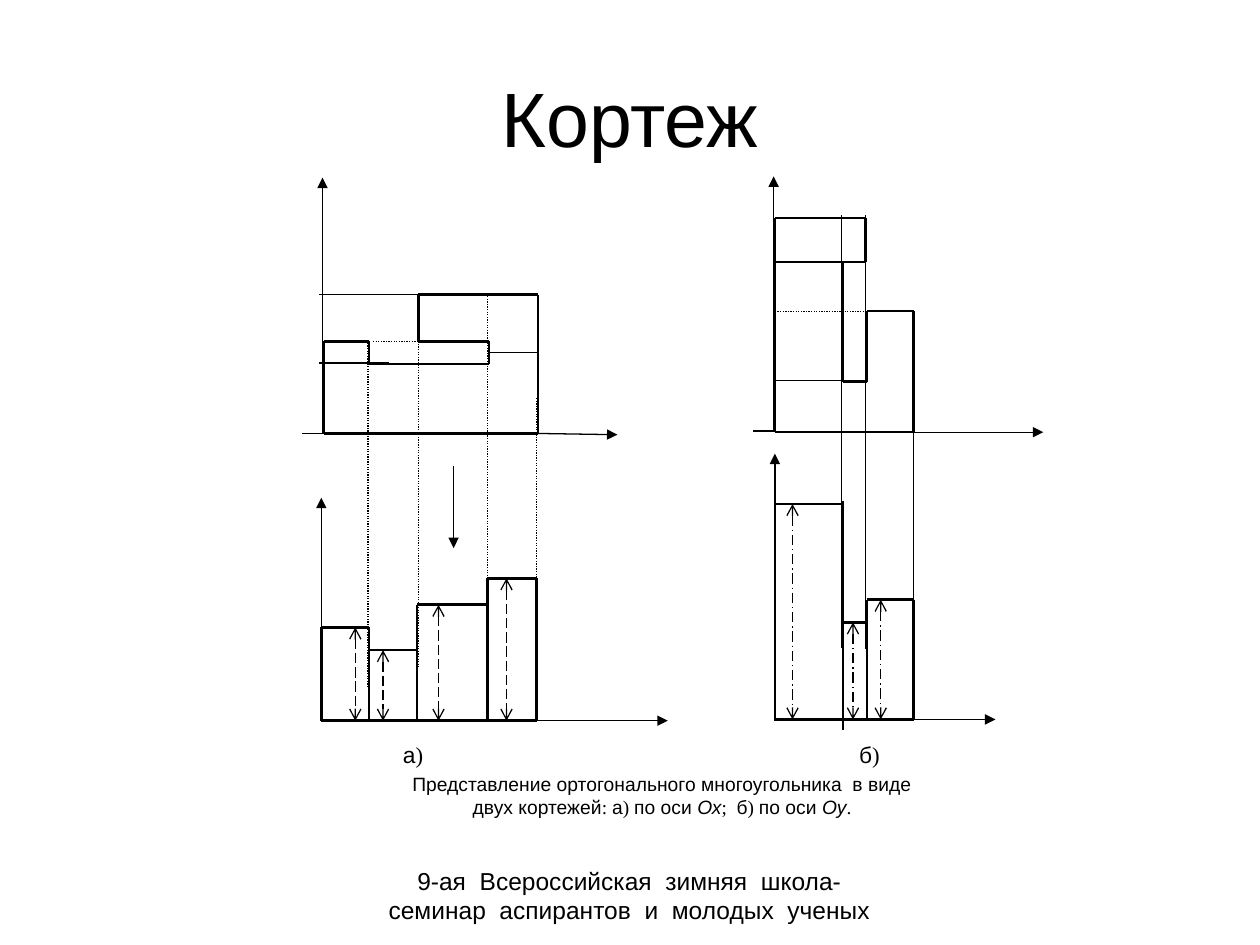
from itertools import pairwise

from lxml.etree import SubElement
from pptx import Presentation
from pptx.dml.color import RGBColor
from pptx.enum.shapes import MSO_CONNECTOR
from pptx.enum.text import MSO_ANCHOR, PP_ALIGN
from pptx.oxml.ns import qn
from pptx.util import Inches, Pt

BLACK = RGBColor(0, 0, 0)
SANS, SERIF = "Arial", "Times New Roman"
THIN, THICK = 0.75, 1.5


class Diagram:
    def __init__(self, slide):
        self.s = slide

    def text(self, box, paragraphs, size, align=PP_ALIGN.CENTER,
             anchor=MSO_ANCHOR.TOP):
        """Write paragraphs, each a list of (text, font name, italic) runs."""
        sp = self.s.shapes.add_textbox(*map(Inches, box))
        tf = sp.text_frame
        frame = {"word_wrap": True, "vertical_anchor": anchor,
                 "margin_left": Inches(0.1), "margin_right": Inches(0.1),
                 "margin_top": Inches(0.05), "margin_bottom": Inches(0.05)}
        for name, value in frame.items():
            setattr(tf, name, value)
        for i, runs in enumerate(paragraphs):
            p = tf.paragraphs[0] if i == 0 else tf.add_paragraph()
            p.alignment = align
            for text, font, italic in runs:
                r = p.add_run()
                r.text = text
                style = {"name": font, "size": Pt(size), "italic": italic}
                for name, value in style.items():
                    setattr(r.font, name, value)
                r.font.color.rgb = BLACK

    def line(self, start, end, width=THIN, dash=None, head=None, tail=None):
        c = self.s.shapes.add_connector(
            MSO_CONNECTOR.STRAIGHT, *map(Inches, (*start, *end)))
        c.line.width = Pt(width)
        c.line.color.rgb = BLACK
        ln = c.line._get_or_add_ln()
        parts = {"a:prstDash": ("val", dash), "a:headEnd": ("type", head),
                 "a:tailEnd": ("type", tail)}
        for tag, (name, value) in parts.items():
            if value:
                SubElement(ln, qn(tag)).set(name, value)
        SubElement(c._element.spPr, qn("a:effectLst"))

    def arrow(self, start, end):
        self.line(start, end, tail="triangle")

    def horizontals(self, rows, dash=None):
        for y, x1, x2 in rows:
            self.line((x1, y), (x2, y), dash=dash)

    def verticals(self, columns, dash=None):
        for x, y1, y2 in columns:
            self.line((x, y1), (x, y2), dash=dash)

    def polygon(self, points):
        for start, end in pairwise(points + points[:1]):
            self.line(start, end, THICK)

    def bars(self, edges, tops, measures, base, dash):
        """Draw adjoining bars, each with a dashed height arrow at measures."""
        self.line((edges[0], base), (edges[-1], base), THICK)
        for (left, right), top, x in zip(pairwise(edges), tops, measures):
            self.line((left, top), (right, top), THICK)
            self.line((x, top), (x, base), dash=dash, head="arrow", tail="arrow")
        for i, x in enumerate(edges):
            self.line((x, min(tops[max(i - 1, 0):i + 1])), (x, base), THICK)


def draw_x_tuple(d):
    d.arrow((2.56, 3.44), (2.56, 1.41))
    d.arrow((4.25, 3.44), (4.9, 3.45))
    d.horizontals([(2.88, 3.09, 2.53), (2.34, 3.45, 2.53),
                   (3.44, 2.58, 2.4), (2.8, 3.88, 4.26)])
    d.horizontals([(2.71, 2.96, 3.51)], "sysDot")
    d.verticals([(2.92, 2.7, 5.46), (3.32, 2.34, 5.29),
                 (3.87, 2.33, 5.65), (4.26, 3.16, 5.37)], "sysDot")
    d.polygon([(2.57, 2.71), (2.93, 2.71), (2.93, 2.89), (3.88, 2.89),
               (3.88, 2.71), (3.32, 2.71), (3.32, 2.34), (4.27, 2.34),
               (4.27, 3.44), (2.57, 3.44)])
    d.arrow((3.6, 3.7), (3.6, 4.35))
    d.arrow((2.55, 5.06), (2.55, 3.95))
    d.arrow((4.21, 5.72), (5.3, 5.72))
    d.bars([2.55, 2.93, 3.31, 3.87, 4.26], [4.98, 5.16, 4.8, 4.59],
           [2.82, 3.04, 3.48, 4.02], 5.72, "lgDash")


def draw_y_tuple(d):
    d.arrow((6.14, 3.42), (6.14, 1.4))
    d.arrow((7.19, 3.43), (8.28, 3.43))
    d.horizontals([(3.02, 6.71, 6.15), (2.08, 6.85, 6.15), (3.42, 6.16, 5.98)])
    d.horizontals([(2.47, 6.15, 7.23)], "sysDot")
    d.verticals([(6.68, 1.71, 5.14), (6.87, 1.71, 5.15),
                 (7.25, 2.52, 5.23), (6.69, 5.79, 3.98)])
    d.polygon([(6.15, 1.73), (6.87, 1.73), (6.87, 2.08), (6.69, 2.08),
               (6.69, 3.03), (6.88, 3.03), (6.88, 2.47), (7.25, 2.47),
               (7.25, 3.43), (6.15, 3.43)])
    d.arrow((6.15, 5.72), (6.15, 3.6))
    d.arrow((6.15, 5.71), (7.9, 5.71))
    d.bars([6.15, 6.69, 6.88, 7.25], [4, 4.94, 4.76],
           [6.29, 6.77, 6.99], 5.71, "lgDashDot")


def main():
    prs = Presentation()
    prs.slide_width, prs.slide_height = Inches(10), Inches(7.5)
    d = Diagram(prs.slides.add_slide(prs.slide_layouts[6]))

    d.text((0.5, 0.3, 9, 1.25), [[("Кортеж", SANS, False)]], 44,
           anchor=MSO_ANCHOR.MIDDLE)
    draw_x_tuple(d)
    draw_y_tuple(d)
    for x, letter in ((3.1, "а"), (6.72, "б")):
        d.text((x, 5.83, 0.46, 0.37),
               [[(letter, SANS, False), (")", SERIF, False)]], 13, PP_ALIGN.LEFT)
    d.text((2.72, 6.08, 5.07, 0.45), [
        [("Представление ортогонального многоугольника  в виде", SANS, False)],
        [("двух кортежей", SANS, False), (": ", SERIF, False),
         ("а", SANS, False), (") ", SERIF, False),
         ("по оси ", SANS, False), ("Ох", SANS, True),
         (";  ", SERIF, False), ("б", SANS, False), (") ", SERIF, False),
         ("по оси ", SANS, False), ("Оу", SANS, True), (".", SERIF, False)],
    ], 11)
    d.text((2.87, 6.82, 4.25, 0.52),
           [[("9-ая  Всероссийская  зимняя  школа-семинар  аспирантов  и  "
              "молодых  ученых", SANS, False)]], 14)
    prs.save("out.pptx")


if __name__ == "__main__":
    main()
